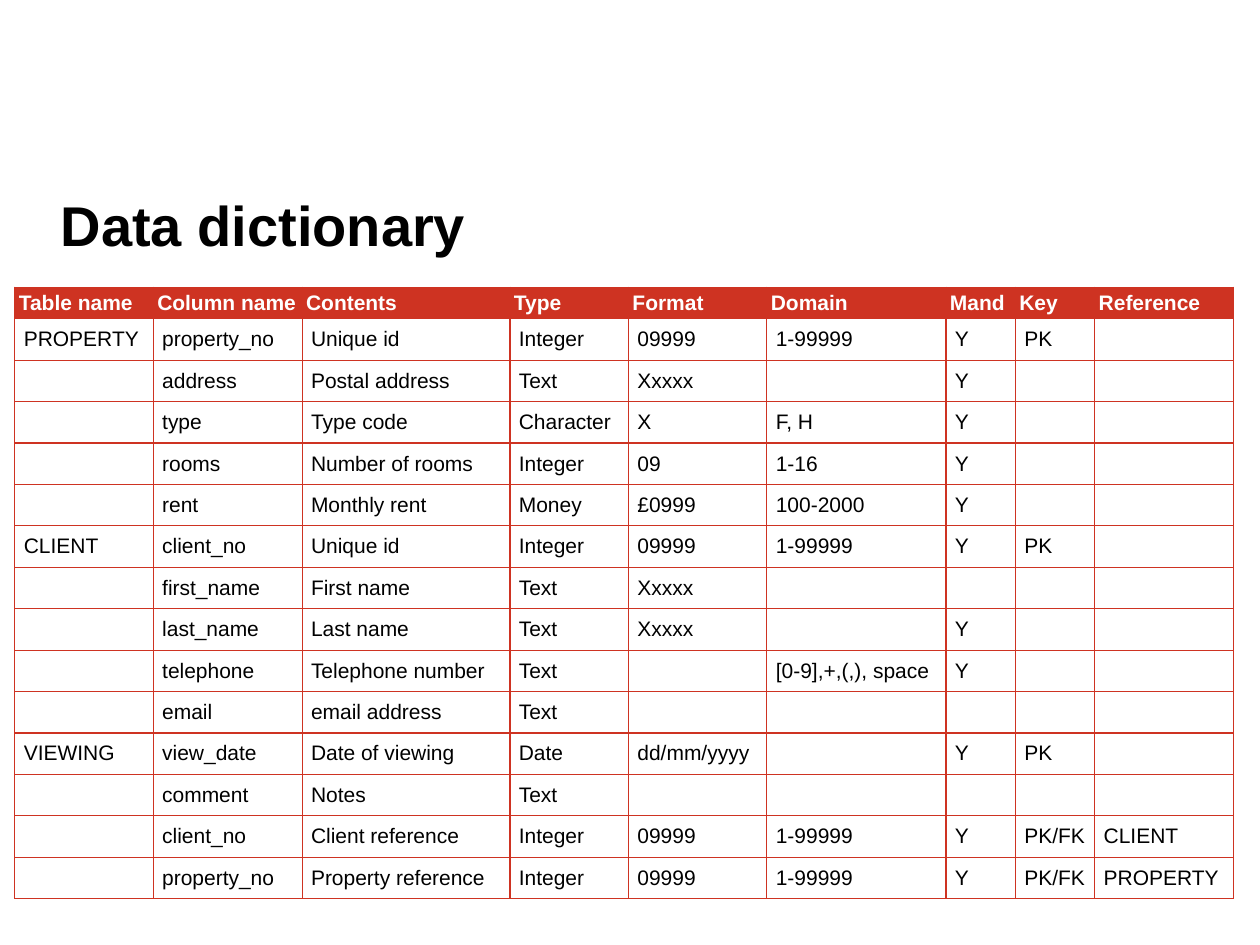
from lxml import etree
from pptx import Presentation
from pptx.dml.color import RGBColor
from pptx.enum.text import MSO_ANCHOR, PP_ALIGN
from pptx.oxml.ns import qn
from pptx.util import Cm, Pt

LEFT = PP_ALIGN.LEFT
MIDDLE = MSO_ANCHOR.MIDDLE
COLORS = {"red": "CE3322", "white": "FFFFFF", "black": "000000"}
WIDTHS = [2.79, 3, 4.19, 2.39, 2.79, 3.61, 1.4, 1.6, 2.79]
HEAD = ["Table name", "Column name", "Contents", "Type", "Format", "Domain",
        "Mand", "Key", "Reference"]
ROWS = [
    ["PROPERTY", "property_no", "Unique id", "Integer", "09999", "1-99999", "Y", "PK", ""],
    ["", "address", "Postal address", "Text", "Xxxxx", "", "Y", "", ""],
    ["", "type", "Type code", "Character", "X", "F, H", "Y", "", ""],
    ["", "rooms", "Number of rooms", "Integer", "09", "1-16", "Y", "", ""],
    ["", "rent", "Monthly rent", "Money", "£0999", "100-2000", "Y", "", ""],
    ["CLIENT", "client_no", "Unique id", "Integer", "09999", "1-99999", "Y", "PK", ""],
    ["", "first_name", "First name", "Text", "Xxxxx", "", "", "", ""],
    ["", "last_name", "Last name", "Text", "Xxxxx", "", "Y", "", ""],
    ["", "telephone", "Telephone number", "Text", "", "[0-9],+,(,), space", "Y", "", ""],
    ["", "email", "email address", "Text", "", "", "", "", ""],
    ["VIEWING", "view_date", "Date of viewing", "Date", "dd/mm/yyyy", "", "Y", "PK", ""],
    ["", "comment", "Notes", "Text", "", "", "", "", ""],
    ["", "client_no", "Client reference", "Integer", "09999", "1-99999", "Y", "PK/FK", "CLIENT"],
    ["", "property_no", "Property reference", "Integer", "09999", "1-99999", "Y", "PK/FK",
     "PROPERTY"],
]


class Deck:
    """Holds the style and the current slide."""

    def __init__(self):
        self.file = Presentation()
        self.file.slide_width, self.file.slide_height = Cm(25.4), Cm(19.05)
        self.slide = self.file.slides.add_slide(self.file.slide_layouts[5])
        self.face = "Arial"

    def style(self, para, size, color, bold):
        font = para.font
        font.name, font.size, font.bold = self.face, Pt(size), bold
        font.color.rgb = RGBColor.from_string(COLORS[color])
        para.alignment = LEFT

    def title(self, text, left, top, width, height):
        shape = self.slide.shapes.title
        shape.left, shape.top = Cm(left), Cm(top)
        shape.width, shape.height = Cm(width), Cm(height)
        frame = shape.text_frame
        frame.text = text
        frame.vertical_anchor = MIDDLE
        self.style(frame.paragraphs[0], 32, "black", True)

    def border(self, cell):
        props = cell._tc.get_or_add_tcPr()
        for spot, side in enumerate(("lnL", "lnR", "lnT", "lnB")):
            line = etree.Element(qn(f"a:{side}"), w=str(Pt(0.75)))
            fill = etree.SubElement(line, qn("a:solidFill"))
            etree.SubElement(fill, qn("a:srgbClr"), val=COLORS["red"])
            props.insert(spot, line)

    def cell(self, cell, text, head):
        cell.text = text
        pad = Cm(0.08 if head else 0.18)
        cell.margin_left = cell.margin_right = pad
        cell.margin_top = cell.margin_bottom = pad
        para = cell.text_frame.paragraphs[0]
        self.style(para, 12, "white" if head else "black", head)
        if not text:
            etree.SubElement(para._p, qn("a:endParaRPr"), sz="1200")
        if head:
            cell.fill.solid()
            cell.fill.fore_color.rgb = RGBColor.from_string(COLORS["red"])
        else:
            cell.fill.background()
        self.border(cell)

    def table(self, rows, widths, left, top, step):
        frame = self.slide.shapes.add_table(
            len(rows), len(widths), Cm(left), Cm(top),
            Cm(sum(widths)), Cm(step * len(rows)))
        grid = frame.table
        grid.horz_banding = False
        for col, width in zip(grid.columns, widths):
            col.width = Cm(width)
        for r, row in enumerate(rows):
            for c, text in enumerate(row):
                self.cell(grid.cell(r, c), text, r == 0)

    def save(self):
        self.file.save("out.pptx")


def main():
    deck = Deck()
    deck.title("Data dictionary", 0.97, 3.56, 23.47, 1.93)
    deck.table([HEAD] + ROWS, WIDTHS, 0.3, 5.79, 0.61)
    deck.save()


if __name__ == "__main__":
    main()
